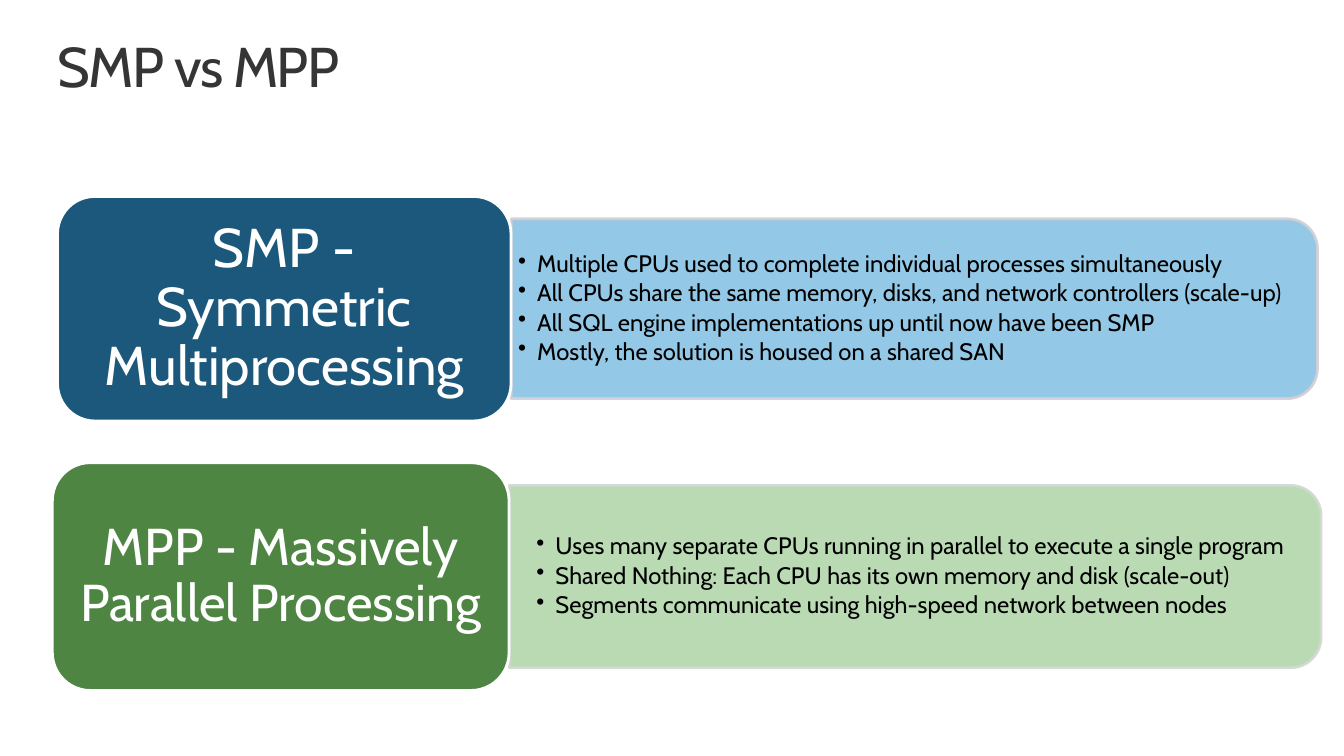
from lxml import etree
from pptx import Presentation
from pptx import util as u
from pptx.dml.color import RGBColor
from pptx.enum import shapes, text
from pptx.oxml.ns import qn

COLORS = {
    "title": "353535", "body": "000000", "white": "FFFFFF",
    "smp": "1B587C", "smp_panel": "89C3E5", "smp_edge": "D2CFD6",
    "mpp": "4E8542", "mpp_panel": "B3D6AC", "mpp_edge": "D0D9CF",
}

TOPICS = [
    dict(key="smp", name="SMP - Symmetric Multiprocessing", size=39,
         left=1.45, top=4.95, width=11.43, height=5.66,
         card_inset=(0.4, 0.2), list_inset=(0.18, 0.1),
         points=["Multiple CPUs used to complete individual processes simultaneously",
                 "All CPUs share the same memory, disks, and network controllers (scale-up)",
                 "All SQL engine implementations up until now have been SMP",
                 "Mostly, the solution is housed on a shared SAN"]),
    dict(key="mpp", name="MPP - Massively Parallel Processing", size=37,
         left=1.32, top=11.66, width=11.51, height=5.74,
         card_inset=(0.38, 0.2), list_inset=(0.69, 0.36),
         points=["Uses many separate CPUs running in parallel to execute a single program",
                 "Shared Nothing: Each CPU has its own memory and disk (scale-out)",
                 "Segments communicate using high-speed network between nodes"]),
]


class Slide:
    font = "Cabin"
    line_spacing = 0.9
    panel_width_ratio = 16 / 9
    panel_height_ratio = 0.8

    def __init__(self, page):
        self.page = page

    def paint(self, shape, fill, edge, opacity=None):
        shape.shadow.inherit = False
        shape.fill.solid()
        shape.fill.fore_color.rgb = RGBColor.from_string(COLORS[fill])
        shape.line.color.rgb = RGBColor.from_string(COLORS[edge])
        shape.line.width = u.Pt(2)
        if opacity:
            for color in shape._element.spPr.iter(qn("a:srgbClr")):
                etree.SubElement(color, qn("a:alpha"), val=str(opacity * 1000))

    def frame(self, box, inset, anchor):
        frame = box.text_frame
        frame.word_wrap = True
        frame.vertical_anchor = anchor
        frame.margin_left = frame.margin_right = u.Cm(inset[0])
        frame.margin_top = frame.margin_bottom = u.Cm(inset[1])
        return frame

    def style(self, para, size, color, align=text.PP_ALIGN.LEFT):
        para.alignment = align
        para.line_spacing = self.line_spacing
        for span in para.runs:
            span.font.name = self.font
            span.font.size = u.Pt(size)
            span.font.color.rgb = RGBColor.from_string(COLORS[color])

    def title(self, words):
        box = self.page.shapes.add_textbox(u.Cm(1.45), u.Cm(0.99), u.Cm(30.99), u.Cm(1.55))
        frame = self.frame(box, (0, 0), text.MSO_ANCHOR.TOP)
        frame.text = words
        para = frame.paragraphs[0]
        self.style(para, 40, "title")
        para.runs[0]._r.get_or_add_rPr().set("spc", "-100")

    def panel(self, left, middle, width, height, key):
        shape = self.page.shapes.add_shape(
            shapes.MSO_SHAPE.ROUND_2_SAME_RECTANGLE,
            u.Cm(left + (width - height) / 2), u.Cm(middle - width / 2),
            u.Cm(height), u.Cm(width))
        shape.rotation = 90
        self.paint(shape, key + "_panel", key + "_edge", 90)

    def bullets(self, left, middle, width, height, points, inset):
        box = self.page.shapes.add_textbox(
            u.Cm(left), u.Cm(middle - height / 2), u.Cm(width), u.Cm(height))
        frame = self.frame(box, inset, text.MSO_ANCHOR.MIDDLE)
        frame.text = "\n".join(points)
        for para in frame.paragraphs:
            props = para._p.get_or_add_pPr()
            props.set("marL", str(u.Cm(0.48)))
            props.set("indent", str(-u.Cm(0.48)))
            etree.SubElement(props, qn("a:buChar"), char="•")
            self.style(para, 17, "body")
            para.space_after = u.Pt(2.55)

    def card(self, topic):
        shape = self.page.shapes.add_shape(
            shapes.MSO_SHAPE.ROUNDED_RECTANGLE,
            *(u.Cm(topic[side]) for side in ("left", "top", "width", "height")))
        self.paint(shape, topic["key"], "white")
        frame = self.frame(shape, topic["card_inset"], text.MSO_ANCHOR.MIDDLE)
        frame.text = topic["name"]
        self.style(frame.paragraphs[0], topic["size"], "white", text.PP_ALIGN.CENTER)

    def topic(self, topic):
        left = topic["left"] + topic["width"]
        middle = topic["top"] + topic["height"] / 2
        width = topic["width"] * self.panel_width_ratio
        height = topic["height"] * self.panel_height_ratio
        self.panel(left, middle, width, height, topic["key"])
        self.bullets(left, middle, width - 0.22, height - 0.45,
                     topic["points"], topic["list_inset"])
        self.card(topic)


def main():
    deck = Presentation()
    deck.slide_width, deck.slide_height = u.Cm(33.87), u.Cm(19.05)
    slide = Slide(deck.slides.add_slide(deck.slide_layouts[6]))
    slide.title("SMP vs MPP")
    for topic in reversed(TOPICS):
        slide.topic(topic)
    deck.save("out.pptx")


if __name__ == "__main__":
    main()
